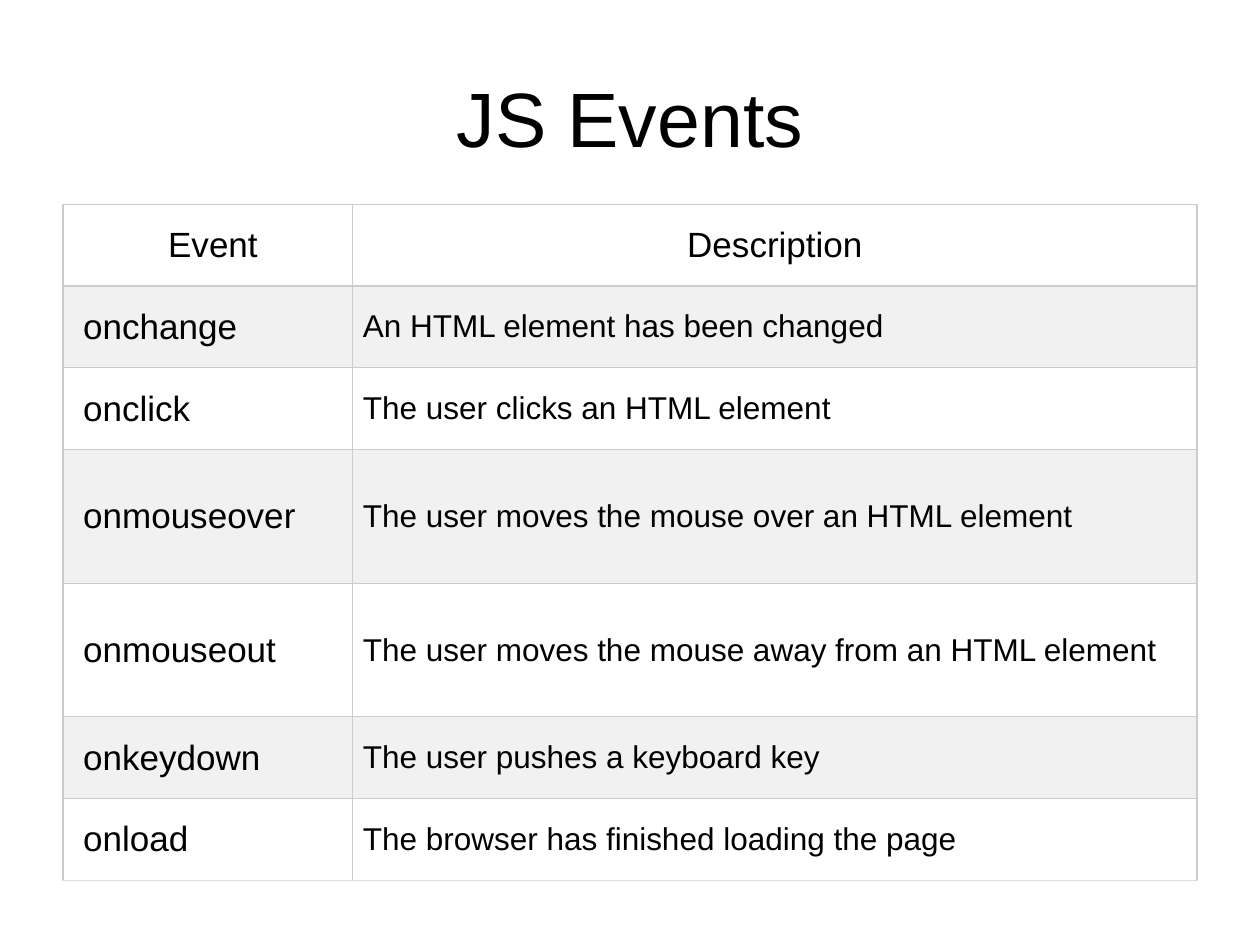
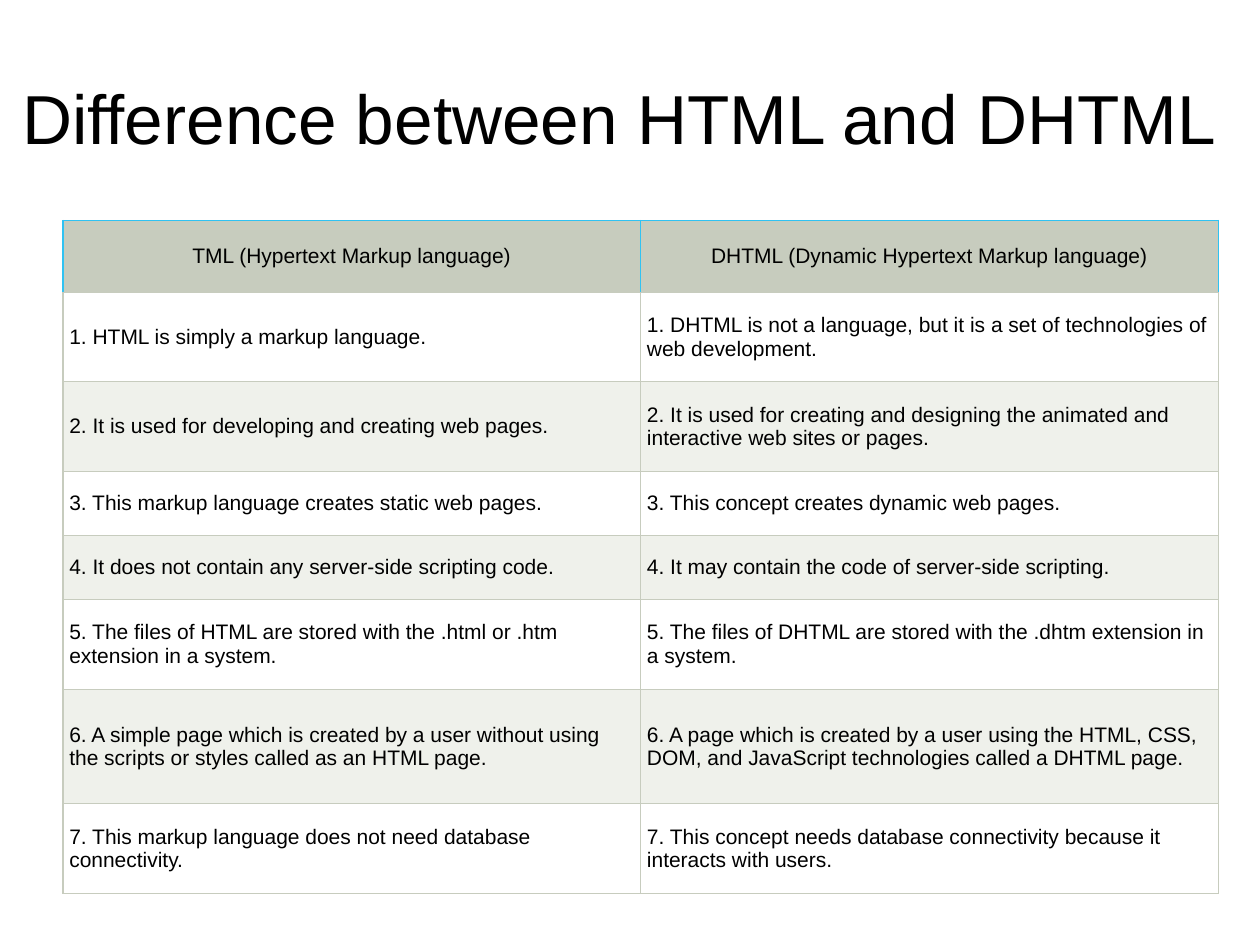
from dataclasses import dataclass

from lxml import etree
from pptx import Presentation
from pptx import util as u
from pptx.dml.color import RGBColor
from pptx.enum import text
from pptx.oxml import ns


@dataclass(frozen=True)
class Theme:
    font: str = "Arial"
    ink: str = "000000"
    white: str = "FFFFFF"
    grey_band: str = "F1F1F1"
    grey_line: str = "CCCCCC"
    grey_end: str = "DDDDDD"
    sage: str = "C7CCBE"
    sage_band: str = "EFF1EB"
    sky: str = "30C2F2"
    title: float = 44
    long_title: float = 39.6
    event: float = 20
    description: float = 18
    comparison: float = 12
    border: float = 0.75


theme = Theme()


def style_text(tf, size, align):
    p = tf.paragraphs[0]
    p.alignment = align
    p.font.size = u.Pt(size)
    p.font.name = theme.font
    p.font.bold = False
    p.font.color.rgb = RGBColor.from_string(theme.ink)


def add_borders(cell, sides, bottom):
    tc_pr = cell._tc.get_or_add_tcPr()
    for i, side in enumerate(("lnL", "lnR", "lnT", "lnB")):
        ln = etree.Element(ns.qn("a:" + side), w=str(u.Pt(theme.border)))
        fill = etree.SubElement(ln, ns.qn("a:solidFill"))
        color = bottom if side == "lnB" else sides
        etree.SubElement(fill, ns.qn("a:srgbClr"), val=color)
        tc_pr.insert(i, ln)


events = [
    ("Event", "Description"),
    ("onchange", "An HTML element has been changed"),
    ("onclick", "The user clicks an HTML element"),
    ("onmouseover", "The user moves the mouse over an HTML element"),
    ("onmouseout", "The user moves the mouse away from an HTML element"),
    ("onkeydown", "The user pushes a keyboard key"),
    ("onload", "The browser has finished loading the page"),
]

differences = [
    ("TML (Hypertext Markup language)",
     "DHTML (Dynamic Hypertext Markup language)"),
    ("1. HTML is simply a markup language.",
     "1. DHTML is not a language, but it is a set of technologies of web development."),
    ("2. It is used for developing and creating web pages.",
     "2. It is used for creating and designing the animated and interactive web sites or pages."),
    ("3. This markup language creates static web pages.",
     "3. This concept creates dynamic web pages."),
    ("4. It does not contain any server-side scripting code.",
     "4. It may contain the code of server-side scripting."),
    ("5. The files of HTML are stored with the .html or .htm extension in a system.",
     "5. The files of DHTML are stored with the .dhtm extension in a system."),
    ("6. A simple page which is created by a user without using the scripts or styles called as an HTML page.",
     "6. A page which is created by a user using the HTML, CSS, DOM, and JavaScript technologies called a DHTML page."),
    ("7. This markup language does not need database connectivity.",
     "7. This concept needs database connectivity because it interacts with users."),
]

slides = [
    dict(title="JS Events", title_size=theme.title, title_left=0.5, title_width=9,
         rows=events, top=1.62, widths=[2.3, 6.7],
         heights=[0.65, 0.65, 0.65, 1.06, 1.06, 0.65, 0.65],
         header_sizes=[theme.event, theme.event],
         body_sizes=[theme.event, theme.description],
         header_fill=theme.white, bands=[theme.white, theme.grey_band],
         line=theme.grey_line, header_line=theme.grey_line, end_line=theme.grey_end,
         header_inset=0.08, body_inset=0.08, first_inset=0.16),
    dict(title="Difference between HTML and DHTML", title_size=theme.long_title,
         title_left=0, title_width=9.83,
         rows=differences, top=1.75, widths=[4.585, 4.585],
         heights=[0.57, 0.71, 0.71, 0.51, 0.51, 0.71, 0.91, 0.71],
         header_sizes=[theme.comparison] * 2, body_sizes=[theme.comparison] * 2,
         header_fill=theme.sage, bands=[theme.sage_band, theme.white],
         line=theme.sage, header_line=theme.sky, end_line=theme.sage,
         header_inset=0.08, body_inset=0.05, first_inset=None),
]

prs = Presentation()
prs.slide_width, prs.slide_height = u.Inches(10), u.Inches(7.5)

for page in slides:
    s = prs.slides.add_slide(prs.slide_layouts[5])
    title = s.shapes.title
    title.left, title.top = u.Inches(page["title_left"]), u.Inches(0.3)
    title.width, title.height = u.Inches(page["title_width"]), u.Inches(1.25)
    tf = title.text_frame
    tf.text = page["title"]
    tf.vertical_anchor = text.MSO_ANCHOR.MIDDLE
    style_text(tf, page["title_size"], text.PP_ALIGN.CENTER)

    rows, widths, heights = page["rows"], page["widths"], page["heights"]
    table = s.shapes.add_table(
        len(rows), len(widths), u.Inches(0.5), u.Inches(page["top"]),
        u.Inches(sum(widths)), u.Inches(sum(heights))).table
    for column, width in zip(table.columns, widths):
        column.width = u.Inches(width)

    for i, (row, height) in enumerate(zip(rows, heights)):
        table.rows[i].height = u.Inches(height)
        header = i == 0
        fill = page["header_fill"] if header else page["bands"][i % 2]
        sizes = page["header_sizes"] if header else page["body_sizes"]
        inset = page["header_inset"] if header else page["body_inset"]
        sides = page["header_line"] if header else page["line"]
        bottom = page["end_line"] if i == len(rows) - 1 else page["line"]
        align = text.PP_ALIGN.CENTER if header else text.PP_ALIGN.LEFT

        for j, words in enumerate(row):
            cell = table.cell(i, j)
            cell.text = words
            cell.vertical_anchor = text.MSO_ANCHOR.MIDDLE
            left = page["first_inset"] if j == 0 and page["first_inset"] else inset
            cell.margin_left = u.Inches(left)
            cell.margin_right = cell.margin_top = cell.margin_bottom = u.Inches(inset)
            cell.fill.solid()
            cell.fill.fore_color.rgb = RGBColor.from_string(fill)
            style_text(cell.text_frame, sizes[j], align)
            add_borders(cell, sides, bottom)

prs.save("out.pptx")
